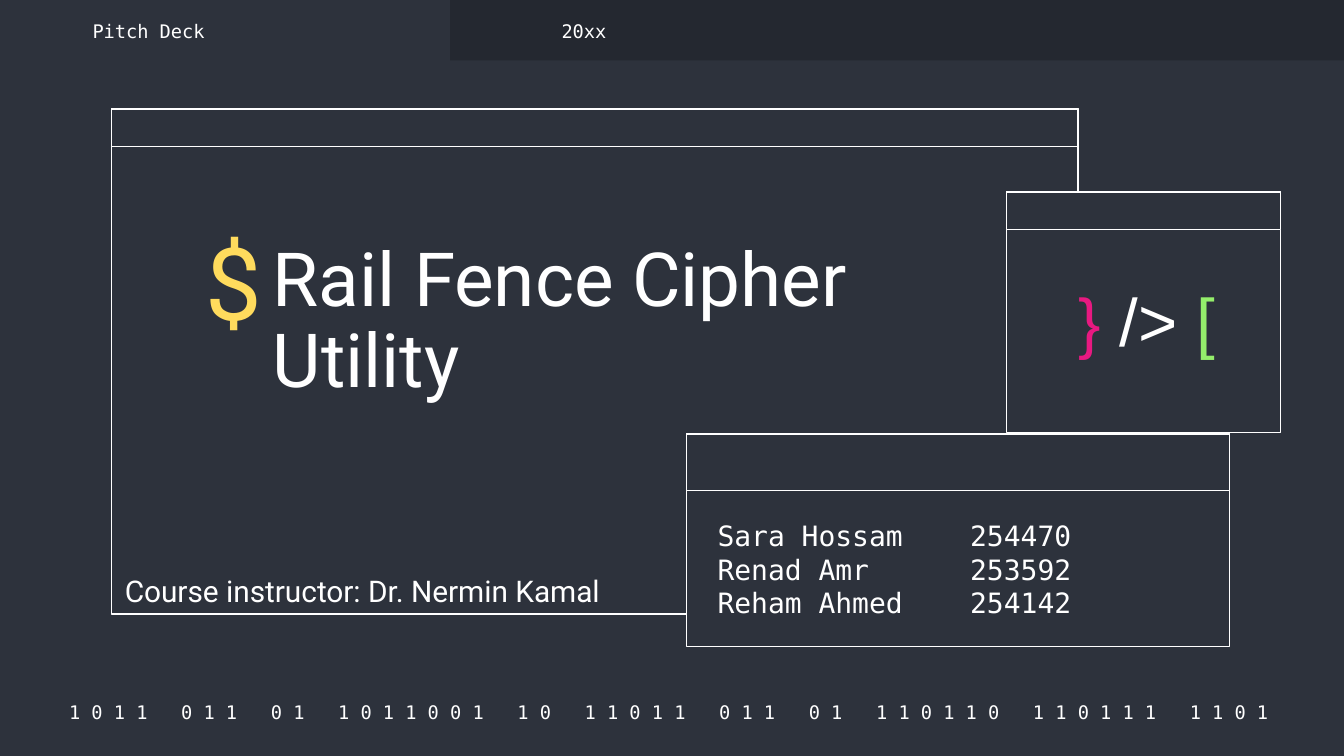
from pptx import Presentation
from pptx import util as u
from pptx.dml.color import RGBColor
from pptx.enum import shapes, text
from pptx.oxml import parse_xml
from pptx.oxml.ns import nsdecls

COLORS = {
    "background": "2D323C",
    "bar": "242830",
    "white": "FFFFFF",
    "yellow": "FFDB5D",
    "pink": "E81981",
    "green": "94EE6B",
}
MONO, SANS, SYMBOL = "DejaVu Sans Mono", "Roboto", "Arial"
LEFT, CENTER = text.PP_ALIGN.LEFT, text.PP_ALIGN.CENTER
TOP, MIDDLE = text.MSO_ANCHOR.TOP, text.MSO_ANCHOR.MIDDLE

BINARY = "1011 011 01 1011001 10 11011 011 01 110110 110111 1101"
TEAM = [("Sara Hossam", "254470"), ("Renad Amr", "253592"), ("Reham Ahmed", "254142")]


def rgb(name):
    return RGBColor.from_string(COLORS[name])


def add_rect(slide, box, fill, line=None):
    sp = slide.shapes.add_shape(shapes.MSO_SHAPE.RECTANGLE, *map(u.Inches, box))
    sp.shadow.inherit = False
    sp.fill.solid()
    sp.fill.fore_color.rgb = rgb(fill)
    if line:
        sp.line.color.rgb = rgb(line)
        sp.line.width = u.Pt(0.75)
    else:
        sp.line.fill.background()


def add_window(slide, left, top, width, height, bar):
    """A framed window with a title bar across its top."""
    for h in (height, bar):
        add_rect(slide, (left, top, width, h), "background", "white")


def set_frame(sp, anchor, inset=(0.1, 0.1)):
    tf = sp.text_frame
    tf.word_wrap = True
    tf.auto_size = text.MSO_AUTO_SIZE.NONE
    tf.vertical_anchor = anchor
    tf.margin_left = tf.margin_right = u.Inches(inset[0])
    tf.margin_top = tf.margin_bottom = u.Inches(inset[1])
    return tf


def add_run(p, words, size, font, color="white"):
    r = p.add_run()
    r.text = words
    r.font.size = u.Pt(size)
    r.font.name = font
    r.font.color.rgb = rgb(color)
    return r


def add_text(slide, box, runs, size, font, anchor=MIDDLE, align=LEFT,
             spacing=1.0, inset=(0.1, 0.1)):
    """A one-paragraph text box; runs are (words, color) pairs."""
    sp = slide.shapes.add_textbox(*map(u.Inches, box))
    p = set_frame(sp, anchor, inset).paragraphs[0]
    p.alignment = align
    p.line_spacing = spacing
    for words, color in runs:
        add_run(p, words, size, font, color)


def add_title(slide):
    sp = slide.shapes.title
    sp.left, sp.top, sp.width, sp.height = map(u.Inches, (1.93, 1.7, 4.55, 1.16))
    p = set_frame(sp, TOP).paragraphs[0]
    p.alignment = LEFT
    p.line_spacing = 0.9
    p.space_before = u.Pt(0)
    add_run(p, "Rail Fence Cipher Utility", 40, SANS)


def add_binary_strip(slide):
    """Spaced digits, with a wider gap between the groups."""
    sp = slide.shapes.add_textbox(*map(u.Inches, (0.34, 5.2, 9.27, 0.2)))
    p = set_frame(sp, MIDDLE).paragraphs[0]
    p.alignment = CENTER
    for i, group in enumerate(BINARY.split()):
        if i:
            gap = add_run(p, " ", 10, MONO)
            gap.font._element.set("spc", "1204")  # two more characters wide
        add_run(p, " ".join(group), 10, MONO)


def add_team(slide):
    """Names, with the student numbers lined up at a tab stop."""
    sp = slide.shapes.add_textbox(*map(u.Inches, (5.24, 3.71, 3.79, 1.05)))
    tf = set_frame(sp, MIDDLE)
    for i, (name, number) in enumerate(TEAM):
        p = tf.add_paragraph() if i else tf.paragraphs[0]
        p._p.get_or_add_pPr().append(parse_xml(
            f'<a:tabLst {nsdecls("a")}><a:tab pos="{u.Inches(1.88)}" algn="l"/></a:tabLst>'))
        add_run(p, f"{name}\t{number}", 15, MONO)


def main():
    prs = Presentation()
    prs.slide_width = u.Inches(10)
    prs.slide_height = u.Inches(10) * 9 // 16  # widescreen
    s = prs.slides.add_slide(prs.slide_layouts[5])
    s.background.fill.solid()
    s.background.fill.fore_color.rgb = rgb("background")

    # Footer digits and header bar
    add_binary_strip(s)
    add_rect(s, (3.35, 0, 6.65, 0.45), "bar")

    # Windows, back to front
    add_window(s, 0.83, 0.81, 7.19, 3.76, 0.28)
    add_window(s, 5.11, 3.23, 4.04, 1.58, 0.42)
    add_window(s, 7.49, 1.43, 2.04, 1.79, 0.28)

    # Code symbols
    add_text(s, (1.43, 1.73, 0.84, 0.82), [("$", "yellow")], 54, SANS, spacing=0.9)
    add_text(s, (7.87, 2.05, 1.33, 0.82),
             [("}", "pink"), (" /> ", "white"), ("[", "green")],
             36, SYMBOL, anchor=TOP, align=CENTER, spacing=0.9)

    # Title, moved in front of the windows, and team
    s.shapes._spTree.append(s.shapes.title._element)
    add_title(s)
    add_team(s)

    # Header tabs and instructor
    for left, label in ((0.59, "Pitch Deck"), (4.08, "20xx")):
        add_text(s, (left, 0.13, 2.19, 0.2), [(label, "white")], 10, MONO)
    add_text(s, (0.83, 4.21, 4.39, 0.37),
             [("Course instructor: Dr. Nermin Kamal", "white")],
             16, SANS, anchor=TOP, inset=(0.1, 0.05))

    prs.save("out.pptx")


if __name__ == "__main__":
    main()
